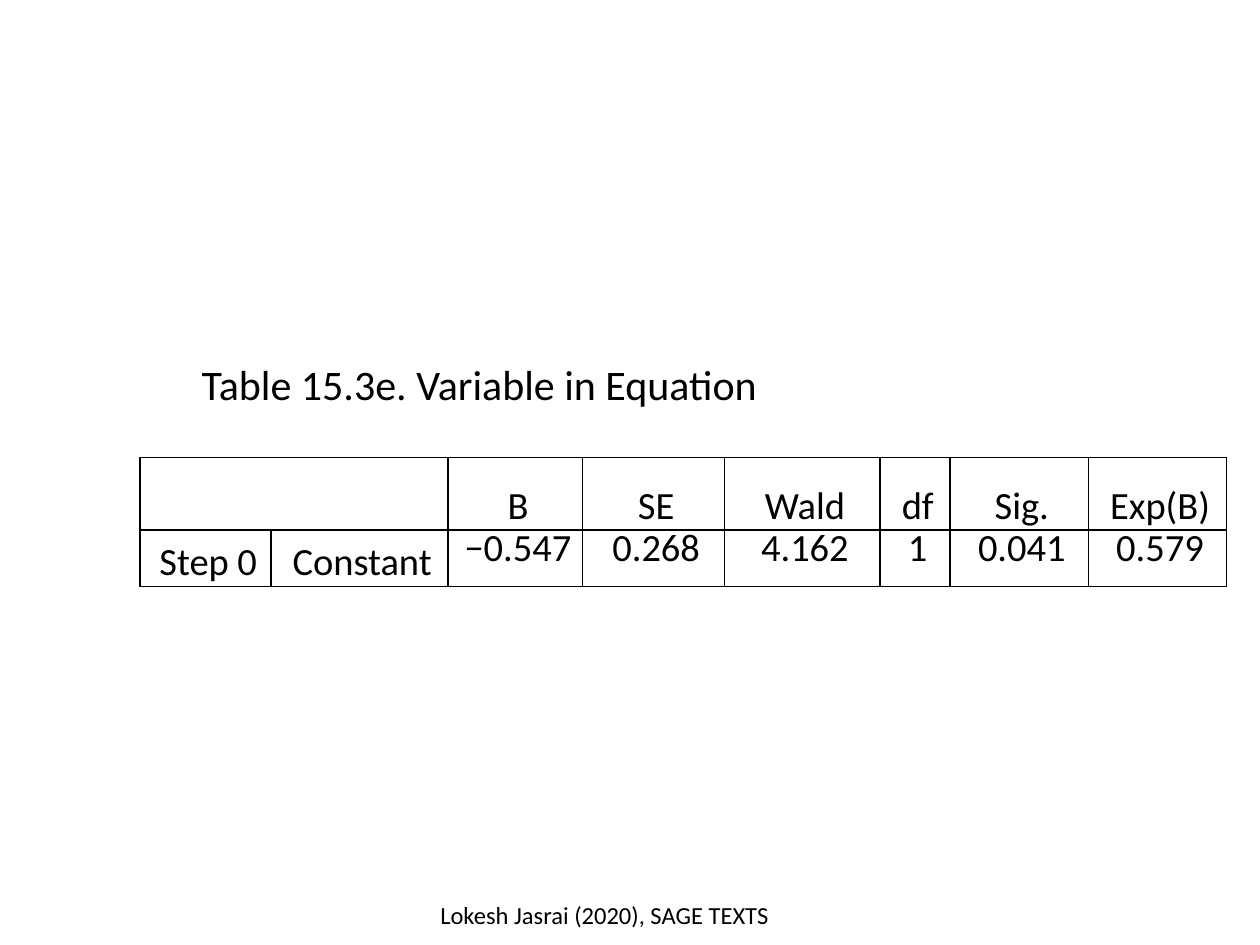
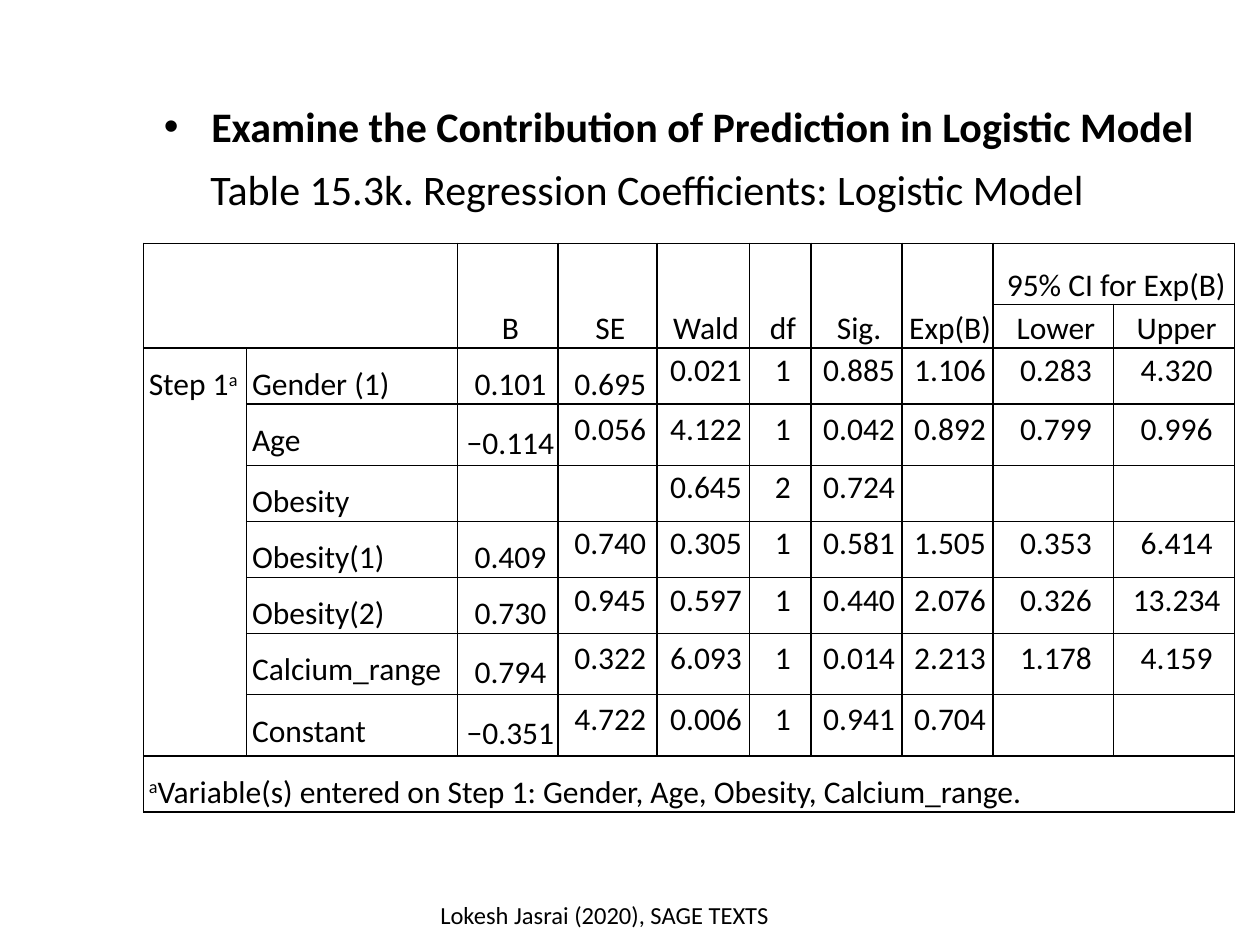
"""Build two slides with logistic regression tables."""
from lxml.etree import SubElement, fromstring
from pptx import Presentation
from pptx.dml.color import RGBColor
from pptx.enum.text import MSO_ANCHOR, MSO_AUTO_SIZE, PP_ALIGN
from pptx.oxml.ns import nsdecls, qn
from pptx.util import Pt

INK = {"text": "000000", "line": "000000"}
FONT = "Calibri"
LEAD = Pt(16)


def write(para, text, size, bold=False):
    for i, part in enumerate(text.split("^")):
        if part:
            run = para.add_run()
            run.text = part
            run.font.name = FONT
            run.font.size = Pt(size)
            run.font.bold = bold
            run.font.color.rgb = RGBColor.from_string(INK["text"])
            if i % 2:
                run.font._element.set("baseline", "30000")


def grid(slide, left, top, cols, highs, rows, heads, size, side, drops, spans):
    frame = slide.shapes.add_table(len(rows), len(cols), Pt(left), Pt(top),
                                   Pt(sum(cols)), Pt(sum(highs)))
    table = frame.table
    table.first_row = table.horz_banding = False
    for col, wide in zip(table.columns, cols):
        col.width = Pt(wide)
    for row, high in zip(table.rows, highs):
        row.height = Pt(high)
    for r, row in enumerate(rows):
        for c, text in enumerate(row):
            cell = table.cell(r, c)
            label = r >= heads and c < 2
            cell.margin_left = cell.margin_right = cell.margin_bottom = 0
            cell.margin_top = LEAD if label or (r, c) in drops else 0
            if r < heads:
                cell.vertical_anchor = MSO_ANCHOR.BOTTOM
            else:
                cell.vertical_anchor = MSO_ANCHOR.TOP if label else MSO_ANCHOR.MIDDLE
            cell.fill.background()
            props = cell._tc.get_or_add_tcPr()
            for i, edge in enumerate(("lnL", "lnR", "lnT", "lnB")):
                line = fromstring(f'<a:{edge} {nsdecls("a")} w="{Pt(1)}"/>')
                fill = SubElement(line, qn("a:solidFill"))
                SubElement(fill, qn("a:srgbClr")).set("val", INK["line"])
                props.insert(i, line)
            para = cell.text_frame.paragraphs[0]
            para._p.get_or_add_pPr().set("marL", str(Pt(3)))
            para.alignment = side if label else PP_ALIGN.CENTER
            para.line_spacing = LEAD
            para.font.size = Pt(size)
            write(para, text, size)
    for r, c, down, over in spans:
        table.cell(r, c).merge(table.cell(r + down - 1, c + over - 1))


deck = Presentation()
deck.slide_width, deck.slide_height = Pt(720), Pt(540)
first = deck.slides.add_slide(deck.slide_layouts[5])
last = deck.slides.add_slide(deck.slide_layouts[1])

for slide, name, box in (
    (first, "Table 15.3e. Variable in Equation", (108, 201, 335, 36)),
    (last, "Table 15.3k. Regression Coefficients: Logistic Model", (113, 90, 519, 36)),
):
    title = slide.shapes.title
    title.left, title.top, title.width, title.height = map(Pt, box)
    title.text_frame.auto_size = MSO_AUTO_SIZE.NONE
    title.text_frame.word_wrap = False
    title.text_frame.vertical_anchor = MSO_ANCHOR.MIDDLE
    para = title.text_frame.paragraphs[0]
    para.alignment = PP_ALIGN.LEFT
    write(para, name, 24)
    foot = slide.shapes.add_textbox(Pt(217), Pt(510.5), Pt(257), Pt(29))
    foot.text_frame.word_wrap = True
    para = foot.text_frame.paragraphs[0]
    para.alignment = PP_ALIGN.CENTER
    write(para, "Lokesh Jasrai (2020), SAGE TEXTS", 14)

body = last.placeholders[1]
body.left, body.top, body.width, body.height = Pt(86.5), Pt(54), Pt(624), Pt(36)
body.text_frame.auto_size = MSO_AUTO_SIZE.NONE
para = body.text_frame.paragraphs[0]
para.space_before = Pt(0)
write(para, "Examine the Contribution of Prediction in Logistic Model", 24, True)

stats = ["B", "SE", "Wald", "df", "Sig.", "Exp(B)"]
rows = [
    ["", "", *stats],
    ["Step 0", "Constant", "−0.547", "0.268", "4.162", "1", "0.041", "0.579"],
]
grid(first, 80, 261.5, [75, 101, 77, 81, 89, 40, 79, 79], [41.5, 32], rows,
     1, 22, PP_ALIGN.CENTER, [], [(0, 0, 1, 2)])

rows = [
    ["", "", *stats, "95% CI for Exp(B)", ""],
    [""] * 8 + ["Lower", "Upper"],
    ["Step 1^a", "Gender (1)", "0.101", "0.695", "0.021", "1", "0.885", "1.106", "0.283", "4.320"],
    ["", "Age", "−0.114", "0.056", "4.122", "1", "0.042", "0.892", "0.799", "0.996"],
    ["", "Obesity", "", "", "0.645", "2", "0.724", "", "", ""],
    ["", "Obesity(1)", "0.409", "0.740", "0.305", "1", "0.581", "1.505", "0.353", "6.414"],
    ["", "Obesity(2)", "0.730", "0.945", "0.597", "1", "0.440", "2.076", "0.326", "13.234"],
    ["", "Calcium_range", "0.794", "0.322", "6.093", "1", "0.014", "2.213", "1.178", "4.159"],
    ["", "Constant", "−0.351", "4.722", "0.006", "1", "0.941", "0.704", "", ""],
    ["^a^Variable(s) entered on Step 1: Gender, Age, Obesity, Calcium_range."] + [""] * 9,
]
drops = [(2, 3)] + [(r, 2) for r in range(2, 9) if rows[r][2]]
spans = [(0, 0, 2, 2), (0, 8, 1, 2), (2, 0, 7, 1), (9, 0, 1, 10)]
spans += [(0, c, 2, 1) for c in range(2, 8)]
grid(last, 82, 139, [59, 120.5, 57.5, 56.5, 53, 35, 52, 52, 69, 69],
     [35, 25, 32, 35, 32, 32, 32, 35, 35, 32], rows,
     2, 18, PP_ALIGN.LEFT, drops, spans)

deck.save("out.pptx")
